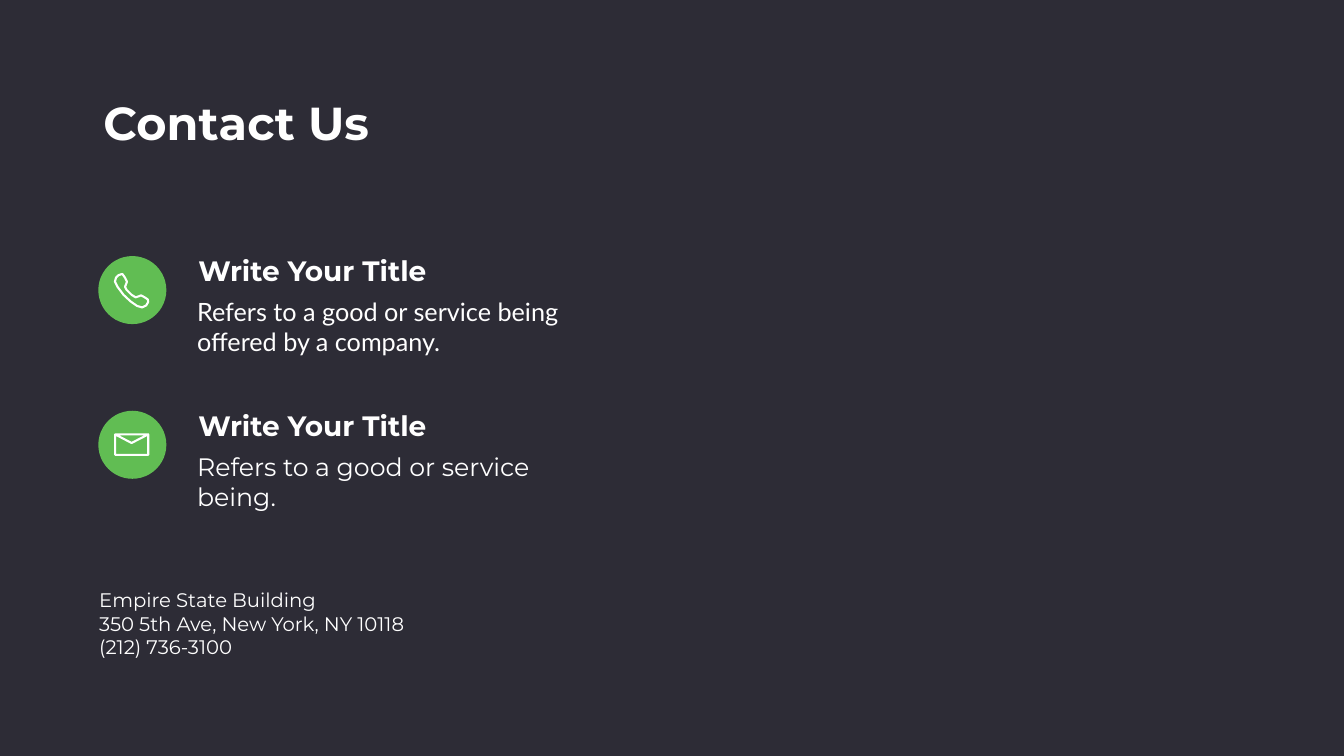
from pptx import Presentation
from pptx.dml.color import RGBColor
from pptx.enum.shapes import MSO_SHAPE
from pptx.enum.text import MSO_ANCHOR, MSO_AUTO_SIZE, PP_ALIGN
from pptx.util import Pt

OVAL = MSO_SHAPE.OVAL
TOP = MSO_ANCHOR.TOP
NO_AUTOSIZE = MSO_AUTO_SIZE.NONE
LEFT = PP_ALIGN.LEFT

DARK, GREEN, WHITE = "2D2C36", "61BD53", "FFFFFF"
HEADING_FONT, BODY_FONT = "Montserrat", "Lato"
TITLE_ONLY_LAYOUT = 5
CIRCLE_SIZE = 97.2
CONTACT_PITCH = 221

PHONE = [
    (33.1, 25.9), (28.8, 27.4), (25.2, 31), (23.8, 36.7), (27.4, 43.9),
    (36, 55.4), (46.1, 64.8), (55.4, 71.3), (62.6, 73.4), (68.4, 70.6),
    (71.3, 65.5), (70.6, 61.9), (66.2, 59), (61.2, 56.2), (57.6, 57.6),
    (53.3, 59), (47.5, 55.4), (40.3, 48.2), (38.2, 43.9), (39.6, 40.3),
    (41, 36.7), (38.2, 31), (34.6, 25.9),
]
ENVELOPE = [
    (24.1, 33.8), (47.5, 46.1), (71.3, 33.8), (71.3, 63),
    (24.1, 63), (24.1, 33.8), (71.3, 33.8),
]
CONTACTS = [
    (PHONE, "Refers to a good or service being offered by a company.", BODY_FONT),
    (ENVELOPE, "Refers to a good or service being.", HEADING_FONT),
]
ADDRESS = [
    "Empire State Building",
    "350 5th Ave, New York, NY 10118",
    "(212) 736-3100",
]


def color(hex_code):
    """Return the colour for a hex string."""
    return RGBColor.from_string(hex_code)


def write(shape, lines, size, font_name=HEADING_FONT, bold=False, insets=(7.2, 3.6)):
    """Fill a shape with white, left-aligned paragraphs."""
    frame = shape.text_frame
    frame.word_wrap = True
    frame.auto_size = NO_AUTOSIZE
    frame.vertical_anchor = TOP
    frame.margin_left = frame.margin_right = Pt(insets[0])
    frame.margin_top = frame.margin_bottom = Pt(insets[1])
    frame.text = "\n".join(lines)
    for paragraph in frame.paragraphs:
        paragraph.alignment = LEFT
        paragraph.line_spacing = 1.0
        paragraph.space_before = Pt(0)
        paragraph.font.name = font_name
        paragraph.font.size = Pt(size)
        paragraph.font.bold = bold
        paragraph.font.color.rgb = color(WHITE)


def add_text(slide, left, top, width, height, lines, size, **style):
    """Add a text box with the given lines."""
    box = slide.shapes.add_textbox(Pt(left), Pt(top), Pt(width), Pt(height))
    write(box, lines, size, **style)


def add_title(slide, left, top, width, height, text):
    """Place the title placeholder in its box."""
    title = slide.shapes.title
    title.left, title.top = Pt(left), Pt(top)
    title.width, title.height = Pt(width), Pt(height)
    write(title, [text], 66, bold=True)


def add_icon(slide, left, top, outline):
    """Draw a white outline on a green circle."""
    circle = slide.shapes.add_shape(
        OVAL, Pt(left), Pt(top), Pt(CIRCLE_SIZE), Pt(CIRCLE_SIZE))
    circle.shadow.inherit = False
    circle.fill.solid()
    circle.fill.fore_color.rgb = color(GREEN)
    circle.line.fill.background()

    points = [(Pt(left + x), Pt(top + y)) for x, y in outline]
    builder = slide.shapes.build_freeform(*points[0])
    builder.add_line_segments(points[1:], close=True)
    symbol = builder.convert_to_shape()
    symbol.shadow.inherit = False
    symbol.fill.background()
    symbol.line.color.rgb = color(WHITE)
    symbol.line.width = Pt(3)


def add_contact(slide, left, top, outline, description, font_name):
    """Add an icon with a heading and a description beside it."""
    add_icon(slide, left, top, outline)
    add_text(slide, left + 136, top - 7.2, 408.2, 55.4,
             ["Write Your Title"], 40, bold=True)
    add_text(slide, left + 123.8, top + 49, 627.8, 104.4,
             [description], 36, font_name=font_name, insets=(17.3, 8.6))


def main():
    """Build the contact slide and save it."""
    presentation = Presentation()
    presentation.slide_width, presentation.slide_height = Pt(1919.52), Pt(1080)
    slide = presentation.slides.add_slide(
        presentation.slide_layouts[TITLE_ONLY_LAYOUT])
    slide.background.fill.solid()
    slide.background.fill.fore_color.rgb = color(DARK)

    add_title(slide, 140.4, 131.8, 534.2, 87.1, "Contact Us")
    for index, contact in enumerate(CONTACTS):
        add_contact(slide, 140.4, 365.8 + index * CONTACT_PITCH, *contact)
    add_text(slide, 134.6, 836.6, 457.9, 108.7, ADDRESS, 28)

    presentation.save("out.pptx")


if __name__ == "__main__":
    main()
